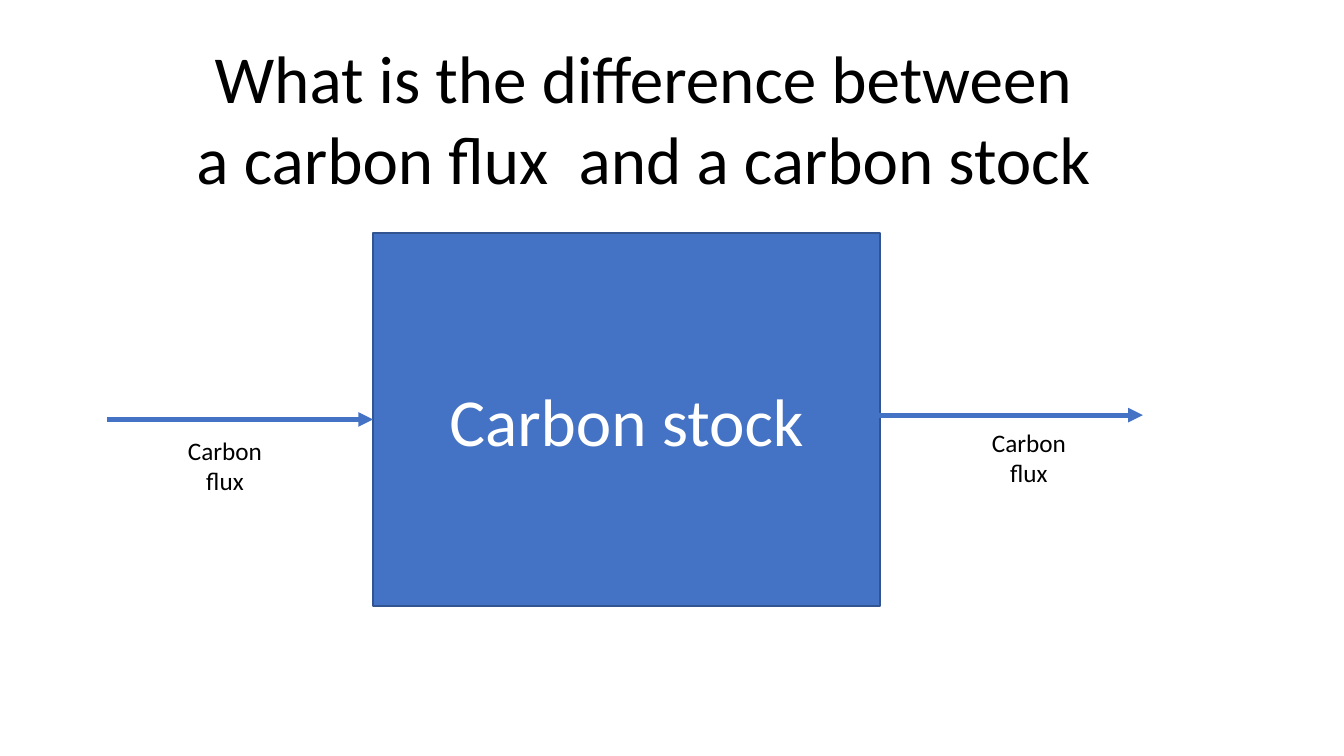
from pptx import Presentation
from pptx.dml.color import RGBColor
from pptx.enum.shapes import MSO_CONNECTOR as CONN, MSO_SHAPE as SHAPE
from pptx.enum.text import MSO_ANCHOR as ANCHOR, MSO_AUTO_SIZE as AUTO, PP_ALIGN as ALIGN
from pptx.oxml.ns import qn
from pptx.util import Cm, Pt
from lxml.etree import SubElement

BLUE, DARK_BLUE, WHITE, BLACK = "4472C4", "325491", "FFFFFF", "000000"


def paint(color_format, color):
    """Apply a hex colour to a fill, line or font colour."""
    color_format.rgb = RGBColor.from_string(color)


def write(tf, lines, size, color):
    """Fill a text frame with centred paragraphs."""
    for i, line in enumerate(lines):
        p = tf.paragraphs[0] if i == 0 else tf.add_paragraph()
        p.text = line
        p.alignment = ALIGN.CENTER
        p.font.name = "Calibri"
        p.font.size = Pt(size)
        paint(p.font.color, color)


def add_text(s, x, y, w, h, lines, size, wrap=True):
    """Add a black text box that grows with its text."""
    tf = s.shapes.add_textbox(Cm(x), Cm(y), Cm(w), Cm(h)).text_frame
    tf.word_wrap = wrap
    tf.auto_size = AUTO.SHAPE_TO_FIT_TEXT
    write(tf, lines, size, BLACK)


def add_stock(s, x, y, w, h, label):
    """Add the blue stock box with its label."""
    sp = s.shapes.add_shape(SHAPE.RECTANGLE, Cm(x), Cm(y), Cm(w), Cm(h))
    sp.shadow.inherit = False
    sp.fill.solid()
    paint(sp.fill.fore_color, BLUE)
    paint(sp.line.color, DARK_BLUE)
    sp.line.width = Pt(1)
    sp.text_frame.vertical_anchor = ANCHOR.MIDDLE
    write(sp.text_frame, [label], 48, WHITE)


def add_arrow(s, x1, x2, y):
    """Add a horizontal flux arrow pointing right."""
    sp = s.shapes.add_connector(CONN.STRAIGHT, Cm(x1), Cm(y), Cm(x2), Cm(y))
    paint(sp.line.color, BLUE)
    sp.line.width = Pt(3.5)
    SubElement(sp.line._get_or_add_ln(), qn("a:tailEnd"), type="triangle")
    SubElement(sp._element.spPr, qn("a:effectLst"))


def main():
    """Build the carbon stock and flux slide."""
    prs = Presentation()
    prs.slide_width, prs.slide_height = Cm(33.87), Cm(19.05)
    s = prs.slides.add_slide(prs.slide_layouts[6])

    add_stock(s, 9.4, 5.87, 12.78, 9.4, "Carbon stock")
    for x1, x2, y, label_x, label_y in (
        (2.7, 9.4, 10.57, 4.17, 10.85),
        (22.12, 28.8, 10.46, 24.43, 10.64),
    ):
        add_arrow(s, x1, x2, y)
        add_text(s, label_x, label_y, 3, 1.8, ["Carbon flux"], 18)

    title = ["What is the difference between", "a carbon flux  and a carbon stock"]
    add_text(s, 4.57, 0.79, 23.3, 4.37, title, 48, wrap=False)
    prs.save("out.pptx")


if __name__ == "__main__":
    main()
